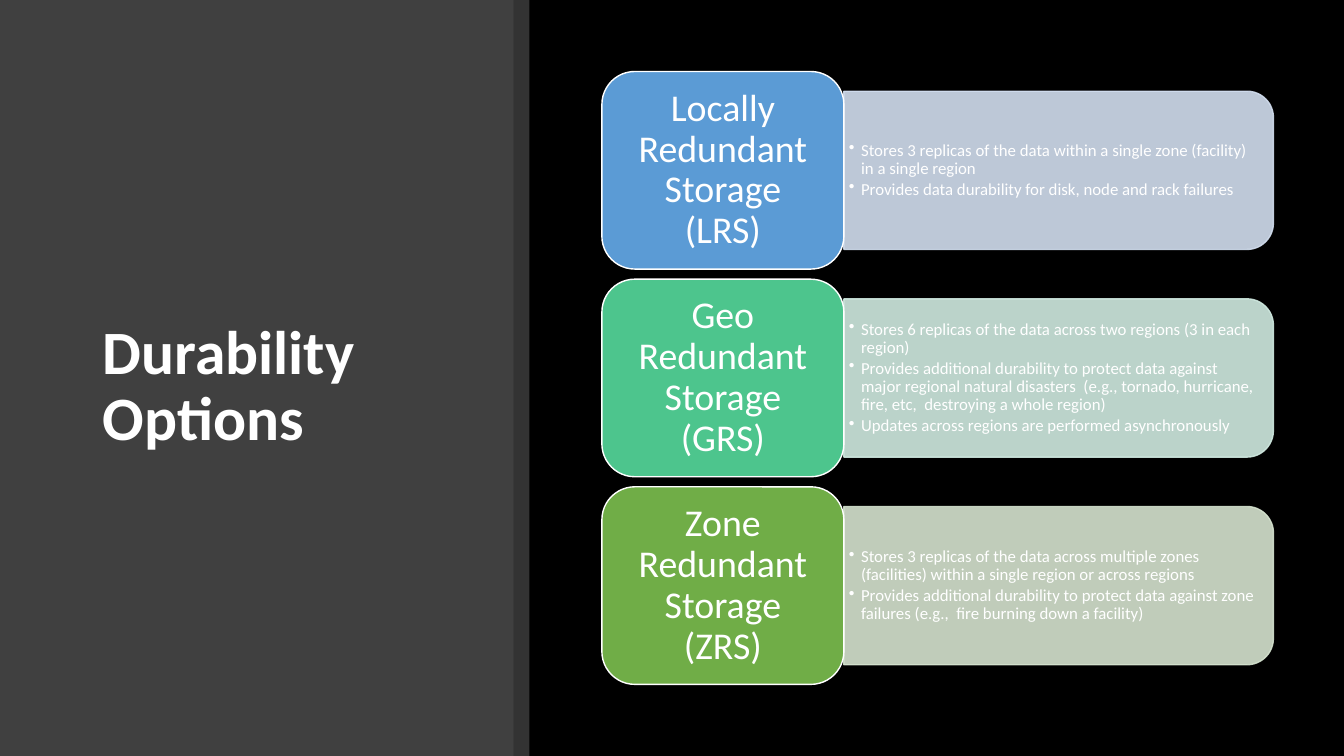
from dataclasses import dataclass

import lxml.etree
import pptx
import pptx.dml.color
import pptx.enum.shapes
import pptx.enum.text
import pptx.oxml.ns
import pptx.shapes.autoshape
import pptx.slide
import pptx.text.text
import pptx.util

Inches = pptx.util.Inches
Pt = pptx.util.Pt
qn = pptx.oxml.ns.qn
SHAPES = pptx.enum.shapes.MSO_SHAPE
ALIGN = pptx.enum.text.PP_ALIGN


@dataclass(frozen=True)
class Theme:
    font: str = "Calibri"
    background: str = "000000"
    sidebar: str = "404040"
    light: str = "FFFFFF"
    title_size: float = 44
    label_size: float = 27
    detail_size: float = 12


@dataclass(frozen=True)
class Box:
    left: float
    top: float
    width: float
    height: float


@dataclass(frozen=True)
class DurabilityOption:
    label: str
    label_fill: str
    panel_fill: str
    details: tuple[str, ...]


THEME = Theme()
FIRST_TOP = 0.71
ROW_PITCH = 2.06
LABEL_LEFT, LABEL_WIDTH, LABEL_HEIGHT = 5.97, 2.4, 1.96
PANEL_WIDTH, PANEL_HEIGHT = 4.26, 1.57
DETAILS_WIDTH, DETAILS_HEIGHT = 4.19, 1.42

OPTIONS = (
    DurabilityOption(
        "Locally Redundant Storage (LRS)", "5B9BD5", "D2DEEF",
        ("Stores 3 replicas of the data within a single zone (facility) in a single region",
         "Provides data durability for disk, node and rack failures"),
    ),
    DurabilityOption(
        "Geo Redundant Storage (GRS)", "4DC58D", "D0EAE1",
        ("Stores 6 replicas of the data across two regions (3 in each region)",
         "Provides additional durability to protect data against major regional natural "
         "disasters  (e.g., tornado, hurricane, fire, etc,  destroying a whole region)",
         "Updates across regions are performed asynchronously"),
    ),
    DurabilityOption(
        "Zone Redundant Storage (ZRS)", "70AD47", "D5E3CF",
        ("Stores 3 replicas of the data across multiple zones (facilities) within a single "
         "region or across regions",
         "Provides additional durability to protect data against zone failures "
         "(e.g.,  fire burning down a facility)"),
    ),
)


def rgb(color: str) -> pptx.dml.color.RGBColor:
    return pptx.dml.color.RGBColor.from_string(color)


def place(box: Box) -> tuple[pptx.util.Length, ...]:
    return Inches(box.left), Inches(box.top), Inches(box.width), Inches(box.height)


def add_block(slide: pptx.slide.Slide, preset: SHAPES, box: Box, fill: str,
              line: str | None = None, opacity: int = 100) -> pptx.shapes.autoshape.Shape:
    block = slide.shapes.add_shape(preset, *place(box))
    block.shadow.inherit = False
    block.fill.solid()
    block.fill.fore_color.rgb = rgb(fill)
    if line is None:
        block.line.fill.background()
    else:
        block.line.color.rgb = rgb(line)
        block.line.width = Pt(1)
    if opacity < 100:
        for color in block.element.spPr.iter(qn("a:srgbClr")):
            lxml.etree.SubElement(color, qn("a:alpha"), val=str(opacity * 1000))
    return block


def prepare_frame(frame: pptx.text.text.TextFrame, side: float, edge: float) -> None:
    frame.word_wrap = True
    frame.vertical_anchor = pptx.enum.text.MSO_ANCHOR.MIDDLE
    frame.margin_left = frame.margin_right = Inches(side)
    frame.margin_top = frame.margin_bottom = Inches(edge)


def write_paragraphs(frame: pptx.text.text.TextFrame, texts: tuple[str, ...], size: float,
                     align: ALIGN = ALIGN.LEFT, bold: bool = False,
                     bulleted: bool = False) -> None:
    for index, text in enumerate(texts):
        paragraph = frame.paragraphs[0] if index == 0 else frame.add_paragraph()
        paragraph.text = text
        paragraph.alignment = align
        paragraph.line_spacing = 0.9
        if bulleted:
            paragraph.level = 1
            paragraph.space_after = Pt(2)
            properties = paragraph._p.get_or_add_pPr()
            properties.set("marL", str(Inches(0.12)))
            properties.set("indent", str(Inches(-0.12)))
            lxml.etree.SubElement(properties, qn("a:buChar"), char="•")
        paragraph.font.name = THEME.font
        paragraph.font.size = Pt(size)
        paragraph.font.bold = bold
        paragraph.font.color.rgb = rgb(THEME.light)


def add_title(slide: pptx.slide.Slide, title: str) -> None:
    frame = slide.shapes.add_textbox(*place(Box(0.92, 0.89, 3.65, 5.91))).text_frame
    prepare_frame(frame, 0.1, 0.05)
    write_paragraphs(frame, (title,), THEME.title_size, bold=True)


def add_option(slide: pptx.slide.Slide, option: DurabilityOption, top: float) -> None:
    middle = top + LABEL_HEIGHT / 2
    panel_left = LABEL_LEFT + LABEL_WIDTH
    panel_center = panel_left + PANEL_WIDTH / 2

    upright_panel = Box(panel_center - PANEL_HEIGHT / 2, middle - PANEL_WIDTH / 2,
                        PANEL_HEIGHT, PANEL_WIDTH)
    panel = add_block(slide, SHAPES.ROUND_2_SAME_RECTANGLE, upright_panel,
                      option.panel_fill, option.panel_fill, opacity=90)
    panel.rotation = 90

    details_box = Box(panel_left, middle - DETAILS_HEIGHT / 2, DETAILS_WIDTH, DETAILS_HEIGHT)
    details = slide.shapes.add_textbox(*place(details_box)).text_frame
    prepare_frame(details, 0.05, 0.03)
    write_paragraphs(details, option.details, THEME.detail_size, bulleted=True)

    label = add_block(slide, SHAPES.ROUNDED_RECTANGLE,
                      Box(LABEL_LEFT, top, LABEL_WIDTH, LABEL_HEIGHT),
                      option.label_fill, THEME.light)
    prepare_frame(label.text_frame, 0.11, 0.06)
    write_paragraphs(label.text_frame, (option.label,), THEME.label_size, ALIGN.CENTER)


def main() -> None:
    presentation = pptx.Presentation()
    presentation.slide_width = Inches(13.33)
    presentation.slide_height = Inches(7.5)
    slide = presentation.slides.add_slide(presentation.slide_layouts[6])
    slide.background.fill.solid()
    slide.background.fill.fore_color.rgb = rgb(THEME.background)

    add_block(slide, SHAPES.RECTANGLE, Box(0, 0, 5.09, 7.5), THEME.sidebar)
    add_title(slide, "Durability Options")
    add_block(slide, SHAPES.RECTANGLE, Box(5.09, 0, 0.16, 7.5), THEME.light, opacity=20)
    for row, option in enumerate(OPTIONS):
        add_option(slide, option, FIRST_TOP + row * ROW_PITCH)

    presentation.save("out.pptx")


if __name__ == "__main__":
    main()
